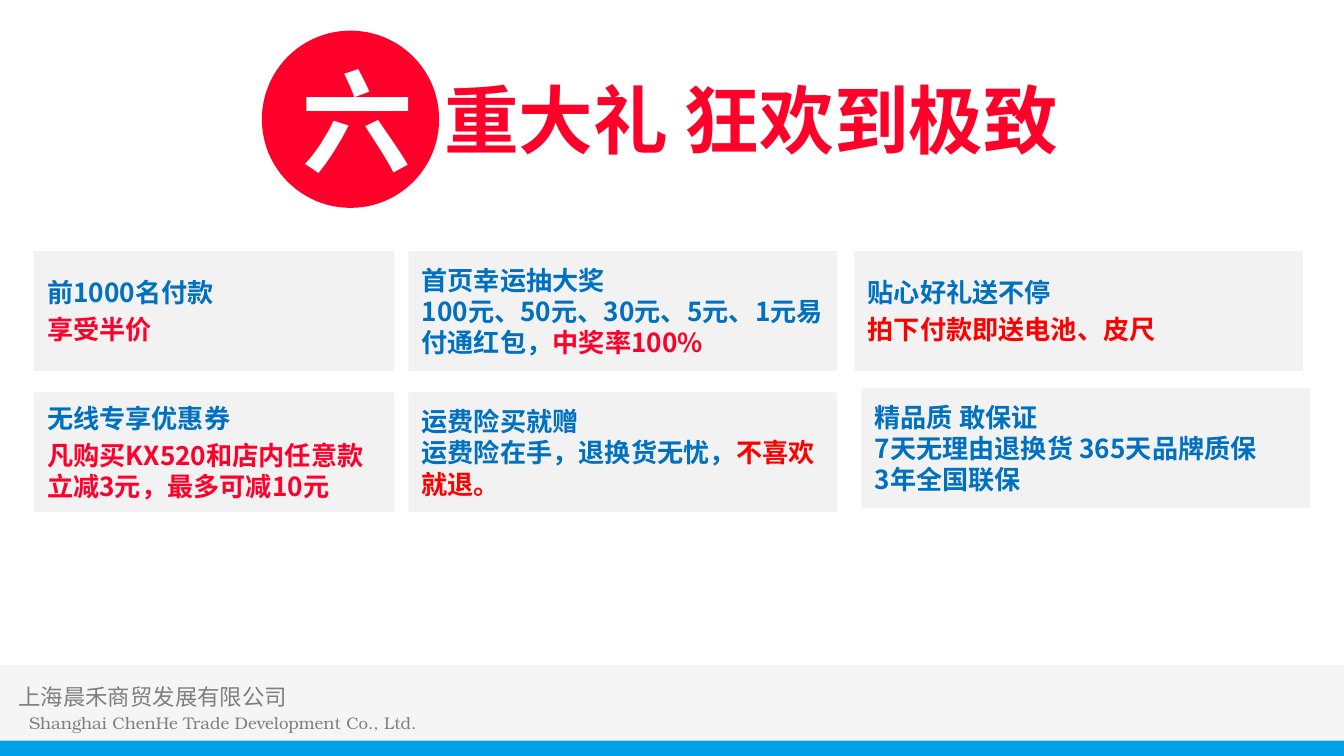
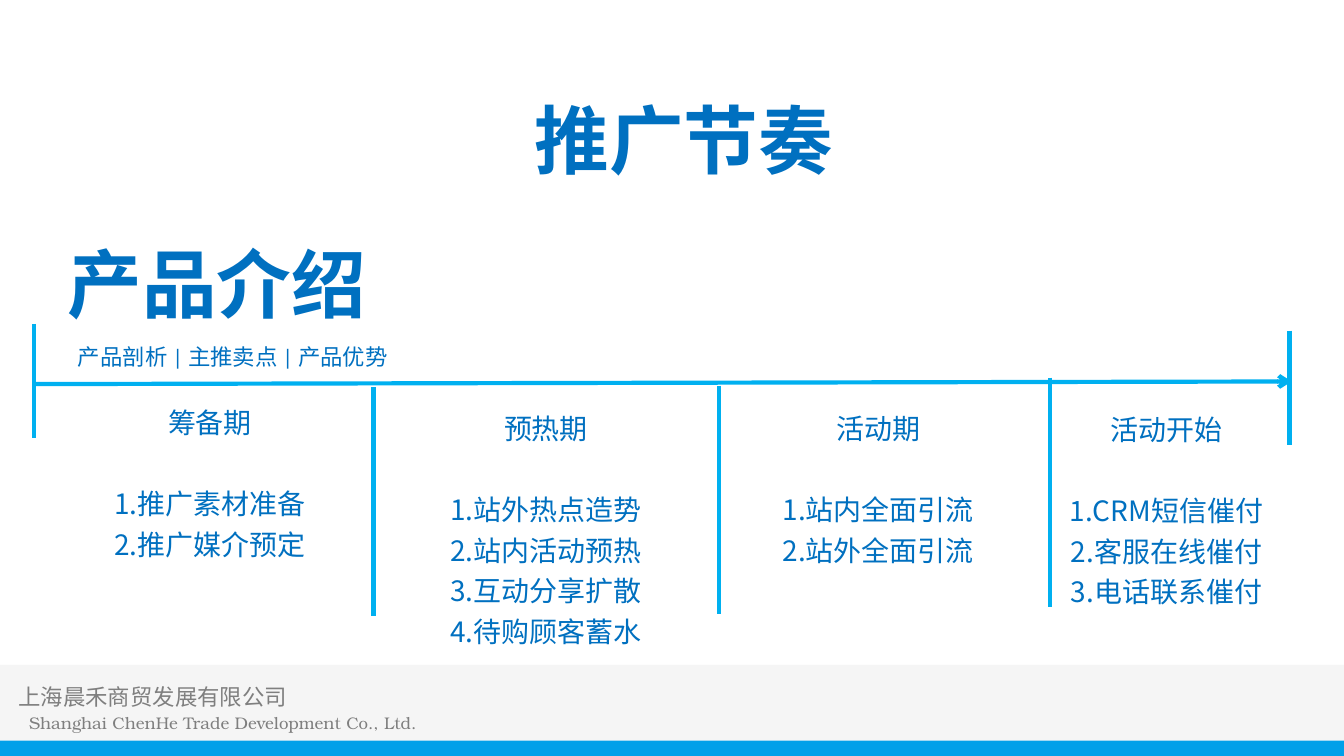
import pptx
import pptx.dml.color
import pptx.enum.shapes
import pptx.enum.text
import pptx.oxml.ns
import pptx.util
from dataclasses import dataclass
from lxml import etree

Cm = pptx.util.Cm
Pt = pptx.util.Pt
Shapes = pptx.enum.shapes.MSO_SHAPE
Align = pptx.enum.text.PP_ALIGN
Anchor = pptx.enum.text.MSO_ANCHOR


@dataclass(frozen=True)
class Theme:
    blue: str = "0070C0"
    crimson: str = "FF002A"
    red: str = "FF0000"
    white: str = "FFFFFF"
    grey: str = "7F7F7F"
    card: str = "F2F2F2"
    footer: str = "F5F5F5"
    bar: str = "00A0E9"
    axis: str = "00B0F0"
    cjk: str = "Noto Sans CJK SC"
    serif: str = "TeX Gyre Bonum"
    plain: str = "Calibri"
    badge_size: float = 60
    title_size: float = 40
    stage_size: float = 15
    card_size: float = 14
    note_size: float = 12
    small_size: float = 9
    axis_width: float = 2.25


THEME = Theme()
BLUE, CRIMSON, RED = THEME.blue, THEME.crimson, THEME.red

# ---- Content: each paragraph is a list of (text, colour) runs ----
COMPANY = "上海晨禾商贸发展有限公司"
COMPANY_ENGLISH = "Shanghai ChenHe Trade Development Co., Ltd."

GIFT_BADGE = "六"
GIFT_TITLE = "重大礼 狂欢到极致"
# (space between paragraphs, paragraphs), row by row
GIFTS = [
    (3, [[("前1000名付款", BLUE)], [("享受半价", CRIMSON)]]),
    (0, [[("首页幸运抽大奖", BLUE)],
         [("100元、50元、30元、5元、1元易付通红包，", BLUE), ("中奖率100%", CRIMSON)]]),
    (3, [[("贴心好礼送不停", BLUE)], [("拍下付款即送电池、皮尺", RED)]]),
    (3, [[("无线专享优惠券", BLUE)],
         [("凡购买KX520和店内任意款立减3元，最多可减10元", CRIMSON)]]),
    (0, [[("运费险买就赠", BLUE)],
         [("运费险在手，退换货无忧，", BLUE), ("不喜欢就退。", RED)]]),
    (0, [[("精品质 敢保证", BLUE)], [("7天无理由退换货 365天品牌质保", BLUE)],
         [("3年全国联保", BLUE)]]),
]
GIFT_COLUMNS = [(0.64, 6.81), (7.72, 8.1), (16.15, 8.48)]  # left, width
GIFT_TOPS = [4.75, 7.42]
GIFT_HEIGHT = 2.26
GIFT_NUDGES = {5: (0.13, -0.08)}  # the last card sits slightly off the grid

RHYTHM_TITLE = "推广节奏"
PRODUCT_TITLE = "产品介绍"
PRODUCT_TOPICS = ["产品剖析", "主推卖点", "产品优势"]
# name, tasks, box (left, top, width, height)
STAGES = [
    ("筹备期", ["推广素材准备", "推广媒介预定"], (1.19, 7.54, 5.56, 4.14)),
    ("预热期", ["站外热点造势", "站内活动预热", "互动分享扩散", "待购顾客蓄水"],
     (7.54, 7.65, 5.56, 4.72)),
    ("活动期", ["站内全面引流", "站外全面引流"], (13.82, 7.65, 5.56, 3.2)),
    ("活动开始", ["CRM短信催付", "客服在线催付", "电话联系催付"],
     (19.76, 7.67, 4.57, 3.96)),
]
TIMELINE = (0.64, 7.26, 24.41, 7.21)
# x, top, height of the timeline's ticks
TICKS = [(0.64, 6.12, 2.16), (7.06, 7.32, 4.32), (13.59, 7.29, 4.32),
         (19.84, 7.14, 4.34), (24.37, 6.25, 2.16)]


# ---- Helpers ----
def set_attributes(target, values):
    for name, value in values.items():
        setattr(target, name, value)


def colour(value):
    return pptx.dml.color.RGBColor.from_string(value)


def write(shape, paragraphs, size, font=THEME.cjk, bold=False,
          align=Align.LEFT, anchor=Anchor.TOP, wrap=True, gaps=()):
    """Fill a shape; gaps[i] is the space in points before paragraph i + 1."""
    frame = shape.text_frame
    set_attributes(frame, {
        "word_wrap": wrap, "vertical_anchor": anchor,
        "margin_left": Cm(0.25), "margin_right": Cm(0.25),
        "margin_top": Cm(0.13), "margin_bottom": Cm(0.13)})
    for index, runs in enumerate(paragraphs):
        paragraph = frame.add_paragraph() if index else frame.paragraphs[0]
        paragraph.alignment = align
        if index and gaps:
            paragraph.space_before = Pt(gaps[index - 1])
        for text, run_colour in runs:
            run = paragraph.add_run()
            run.text = text
            set_attributes(run.font, {"size": Pt(size), "bold": bold, "name": font})
            run.font.color.rgb = colour(run_colour)
            east_asian = etree.SubElement(run.font._element, pptx.oxml.ns.qn("a:ea"))
            east_asian.set("typeface", font)


def add_box(slide, kind, box, fill):
    shape = slide.shapes.add_shape(kind, *map(Cm, box))
    shape.shadow.inherit = False
    shape.fill.solid()
    shape.fill.fore_color.rgb = colour(fill)
    shape.line.fill.background()
    return shape


def add_text(slide, box, paragraphs, size, **formats):
    write(slide.shapes.add_textbox(*map(Cm, box)), paragraphs, size, **formats)


def add_title(slide, box, text, text_colour, **formats):
    add_text(slide, box, [[(text, text_colour)]], THEME.title_size,
             bold=True, align=Align.CENTER, **formats)


def add_line(slide, ends, arrow=False):
    line = slide.shapes.add_connector(
        pptx.enum.shapes.MSO_CONNECTOR.STRAIGHT, *map(Cm, ends))
    line.line.color.rgb = colour(THEME.axis)
    line.line.width = Pt(THEME.axis_width)
    if arrow:
        tail = etree.SubElement(line.line._get_or_add_ln(), pptx.oxml.ns.qn("a:tailEnd"))
        tail.set("type", "arrow")
    etree.SubElement(line._element.spPr, pptx.oxml.ns.qn("a:effectLst"))


def new_slide(presentation):
    """Blank slide with the shared footer and bottom bar."""
    slide = presentation.slides.add_slide(presentation.slide_layouts[6])
    add_box(slide, Shapes.RECTANGLE, (0, 12.57, 25.4, 1.43), THEME.footer)
    add_text(slide, (0.3, 13.34, 10.8, 0.64), [[(COMPANY_ENGLISH, THEME.grey)]],
             THEME.small_size, font=THEME.serif)
    add_text(slide, (0.1, 12.78, 9.4, 0.76), [[(COMPANY, THEME.grey)]], THEME.note_size)
    add_box(slide, Shapes.RECTANGLE, (0, 14, 25.4, 0.29), THEME.bar)
    return slide


# ---- Slides ----
def build_gifts(presentation):
    slide = new_slide(presentation)
    for index, (gap, paragraphs) in enumerate(GIFTS):
        row, column = divmod(index, len(GIFT_COLUMNS))
        left, width = GIFT_COLUMNS[column]
        shift_x, shift_y = GIFT_NUDGES.get(index, (0, 0))
        box = (left + shift_x, GIFT_TOPS[row] + shift_y, width, GIFT_HEIGHT)
        card = add_box(slide, Shapes.RECTANGLE, box, THEME.card)
        write(card, paragraphs, THEME.card_size, bold=True, anchor=Anchor.MIDDLE,
              gaps=[gap] * len(paragraphs))
    add_title(slide, (6.5, 1.27, 15.39, 1.96), GIFT_TITLE, CRIMSON)
    badge = add_box(slide, Shapes.OVAL, (4.95, 0.58, 3.35, 3.35), CRIMSON)
    write(badge, [[(GIFT_BADGE, THEME.white)]], THEME.badge_size, bold=True,
          align=Align.CENTER, anchor=Anchor.MIDDLE)


def build_rhythm(presentation):
    slide = new_slide(presentation)
    add_text(slide, (1.02, 6.35, 6.76, 0.76), [[(" | ".join(PRODUCT_TOPICS), BLUE)]],
             THEME.note_size, font=THEME.plain, align=Align.CENTER, wrap=False)
    add_title(slide, (1.02, 4.37, 6.15, 1.96), PRODUCT_TITLE, BLUE, wrap=False)
    add_line(slide, TIMELINE, arrow=True)
    add_title(slide, (4.78, 0.79, 16.28, 3.68), RHYTHM_TITLE, BLUE, anchor=Anchor.MIDDLE)

    # Stages: a wide gap under each name, then numbered tasks
    for name, tasks, box in STAGES:
        lines = [name] + [f"{number}.{task}" for number, task in enumerate(tasks, 1)]
        add_text(slide, box, [[(line, BLUE)] for line in lines], THEME.stage_size,
                 align=Align.CENTER, gaps=[25.4] + [3.7] * (len(tasks) - 1))
    for x, top, height in TICKS:
        add_line(slide, (x, top, x, top + height))


def main():
    presentation = pptx.Presentation()
    set_attributes(presentation, {"slide_width": Cm(25.4), "slide_height": Cm(14.29)})
    build_gifts(presentation)
    build_rhythm(presentation)
    presentation.save("out.pptx")


if __name__ == "__main__":
    main()
